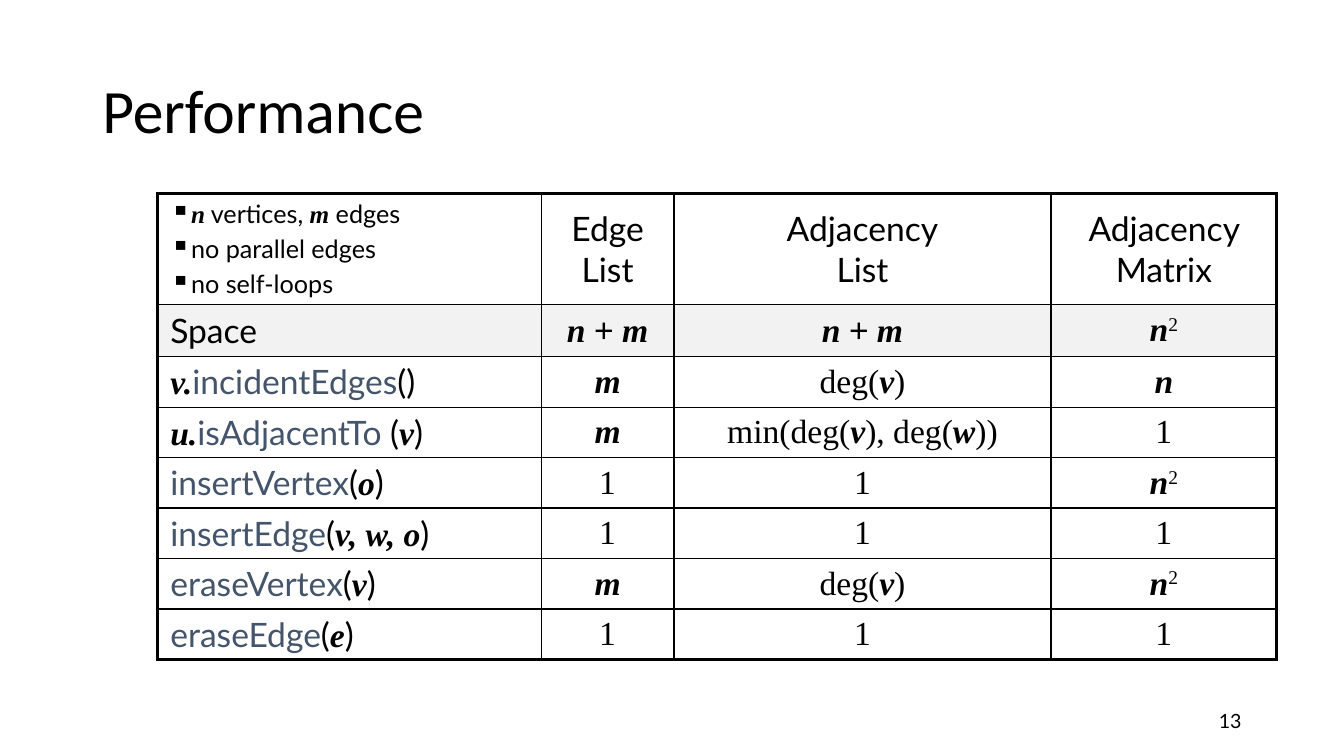
import pptx
import pptx.dml.color
import pptx.enum.text
import pptx.oxml
import pptx.oxml.ns
import pptx.util

Pt = pptx.util.Pt
ALIGN = pptx.enum.text.PP_ALIGN
MIDDLE = pptx.enum.text.MSO_ANCHOR.MIDDLE
TOP = pptx.enum.text.MSO_ANCHOR.TOP

COLOURS = {"ink": "000000", "method": "44546A", "band": "F2F2F2"}

# Run styles: font, colour, bold italic, superscript percentage
STYLES = {
    "heading": ("Calibri", "ink", False, 0),
    "plain": ("Lato", "ink", False, 0),
    "method": ("Lato", "method", False, 0),
    "variable": ("Times New Roman", "ink", True, 0),
    "number": ("Times New Roman", "ink", False, 0),
    "power": ("Times New Roman", "ink", False, 30),
    "sign": ("Arial", "ink", False, 0),
}

# Recurring costs
ONE = [("number", "1")]
M = [("variable", "m")]
N = [("variable", "n")]
N_SQUARED = N + [("power", "2")]
N_PLUS_M = [("variable", "n "), ("sign", "+"), ("variable", " m")]
DEGREE = [("number", "deg("), ("variable", "v"), ("number", ")")]
MIN_DEGREE = [("number", "min(deg("), ("variable", "v"), ("number", "), deg("),
              ("variable", "w"), ("number", "))")]


def call(method, argument, owner=""):
    """Runs of a method call such as v.method(argument)."""
    runs = [("variable", owner)] if owner else []
    runs += [("method", method), ("plain", "(")]
    if argument:
        runs.append(("variable", argument))
    return runs + [("plain", ")")]


ASSUMPTIONS = [
    [("variable", "n"), ("plain", " vertices, "), ("variable", "m"), ("plain", " edges")],
    [("plain", "no parallel edges")],
    [("plain", "no self-loops")],
]
HEADERS = ["Edge\nList", "Adjacency\nList", "Adjacency Matrix"]
COSTS = [
    ([("plain", "Space")], N_PLUS_M, N_PLUS_M, N_SQUARED),
    (call("incidentEdges", "", "v."), M, DEGREE, N),
    (call("isAdjacentTo ", "v", "u."), M, MIN_DEGREE, ONE),
    (call("insertVertex", "o"), ONE, ONE, N_SQUARED),
    (call("insertEdge", "v, w, o"), ONE, ONE, ONE),
    (call("eraseVertex", "v"), M, DEGREE, N_SQUARED),
    (call("eraseEdge", "e"), ONE, ONE, ONE),
]
COLUMN_WIDTHS = [274.2, 95, 269.2, 161.4]
ROW_HEIGHTS = [79.2, 37.4] + [36] * 6


def colour(name):
    return pptx.dml.color.RGBColor.from_string(COLOURS[name])


def add_runs(para, runs, size):
    for style, text in runs:
        font, ink, strong, raised = STYLES[style]
        for number, line in enumerate(text.split("\n")):
            if number:
                para.add_line_break()
            span = para.add_run()
            span.text = line
            span.font.name = font
            span.font.size = Pt(size)
            span.font.bold = span.font.italic = strong
            span.font.color.rgb = colour(ink)
            if raised:
                span.font._element.set("baseline", str(raised * 1000))


def add_bullet(para, indent):
    properties = para._p.get_or_add_pPr()
    properties.set("marL", str(Pt(indent)))
    properties.set("indent", str(-Pt(indent)))
    namespace = pptx.oxml.ns.nsdecls("a")
    for markup in (
        f'<a:buClr {namespace}><a:srgbClr val="{COLOURS["ink"]}"/></a:buClr>',
        f'<a:buSzPct {namespace} val="110000"/>',
        f'<a:buChar {namespace} char="▪"/>',
    ):
        properties.append(pptx.oxml.parse_xml(markup))


def add_text(page, area, runs, size, align, spacing=1.0):
    box = page.shapes.add_textbox(*(Pt(length) for length in area))
    frame = box.text_frame
    frame.word_wrap = True
    frame.vertical_anchor = MIDDLE
    para = frame.paragraphs[0]
    para.alignment = align
    para.line_spacing = spacing
    add_runs(para, runs, size)


def format_cell(cell, heavy_sides, shaded):
    cell.margin_left = cell.margin_right = Pt(9.36)
    cell.margin_top = cell.margin_bottom = Pt(3.6)
    cell.vertical_anchor = MIDDLE
    properties = cell._tc.get_or_add_tcPr()
    for side in "LRTB":
        width = Pt(2.25 if side in heavy_sides else 1)
        properties.append(pptx.oxml.parse_xml(
            f'<a:ln{side} {pptx.oxml.ns.nsdecls("a")} w="{width}"><a:solidFill>'
            f'<a:srgbClr val="{COLOURS["ink"]}"/></a:solidFill></a:ln{side}>'))
    if shaded:
        cell.fill.solid()
        cell.fill.fore_color.rgb = colour("band")
    else:
        cell.fill.background()


def add_cost_table(page, left, top):
    rows, columns = len(ROW_HEIGHTS), len(COLUMN_WIDTHS)
    table = page.shapes.add_table(
        rows, columns, Pt(left), Pt(top),
        Pt(sum(COLUMN_WIDTHS)), Pt(sum(ROW_HEIGHTS))).table
    table.first_row = table.horz_banding = False
    for column, width in zip(table.columns, COLUMN_WIDTHS):
        column.width = Pt(width)
    for row, height in zip(table.rows, ROW_HEIGHTS):
        row.height = Pt(height)

    # Frame, header row and costs
    contents = [[None] + [[("plain", text)] for text in HEADERS]] + COSTS
    for i, row in enumerate(contents):
        for j, runs in enumerate(row):
            cell = table.cell(i, j)
            edges = {"L": j == 0, "R": j == columns - 1, "T": i == 0, "B": i == rows - 1}
            format_cell(cell, [side for side in edges if edges[side]], shaded=i == 1)
            if runs:
                para = cell.text_frame.paragraphs[0]
                para.alignment = ALIGN.CENTER if j else ALIGN.LEFT
                add_runs(para, runs, 24)

    # Assumptions in the corner cell
    corner = table.cell(0, 0)
    corner.vertical_anchor = TOP
    for number, runs in enumerate(ASSUMPTIONS):
        frame = corner.text_frame
        para = frame.add_paragraph() if number else frame.paragraphs[0]
        if number:
            para.space_before = Pt(3.6)
        add_bullet(para, 11.5)
        add_runs(para, runs, 18)


def build_performance_page(deck):
    page = deck.slides.add_slide(deck.slide_layouts[6])
    # Title
    add_text(page, (66, 29, 828, 104.4), [("heading", "Performance")], 44, ALIGN.LEFT, 0.9)
    # Table of costs
    add_cost_table(page, 112.3, 138.2)
    # Page number
    add_text(page, (678, 500.4, 216, 28.8), [("plain", "13")], 14, ALIGN.RIGHT)


def main():
    deck = pptx.Presentation()
    deck.slide_width, deck.slide_height = Pt(960), Pt(540)
    build_performance_page(deck)
    deck.save("out.pptx")


if __name__ == "__main__":
    main()
